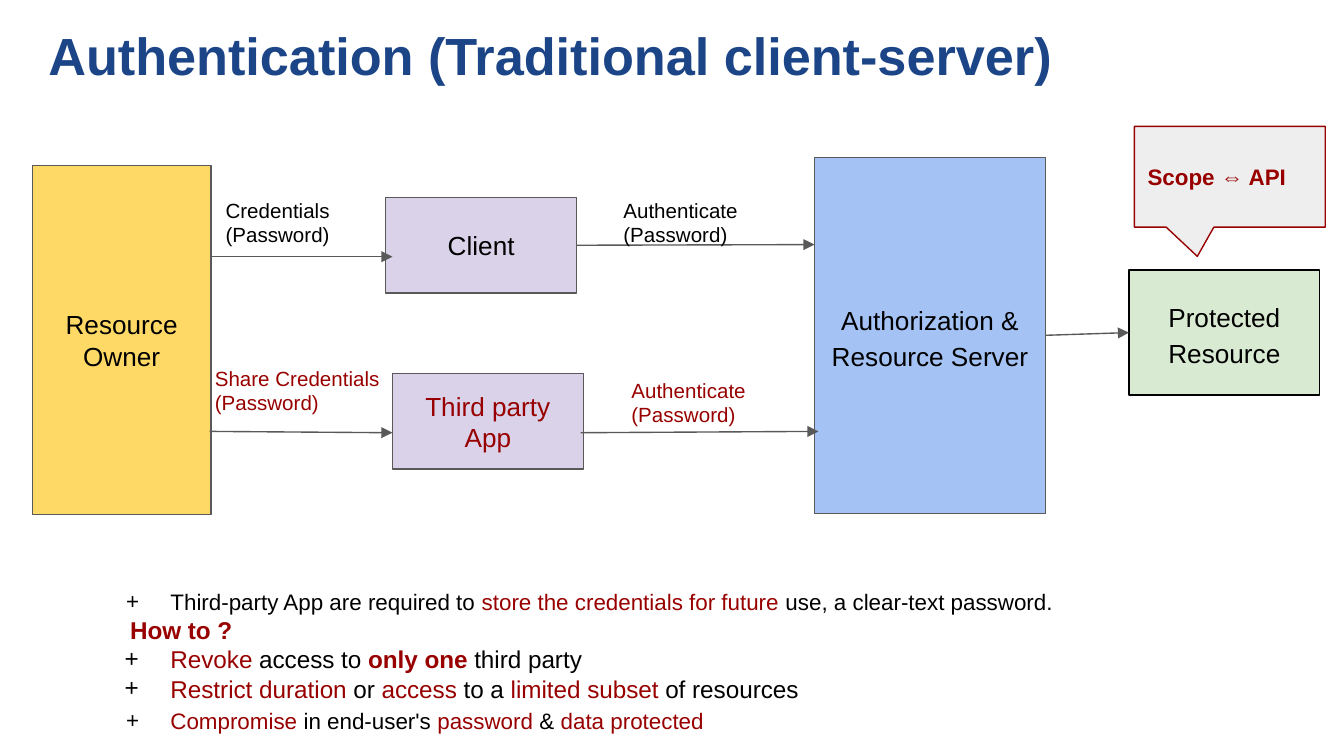
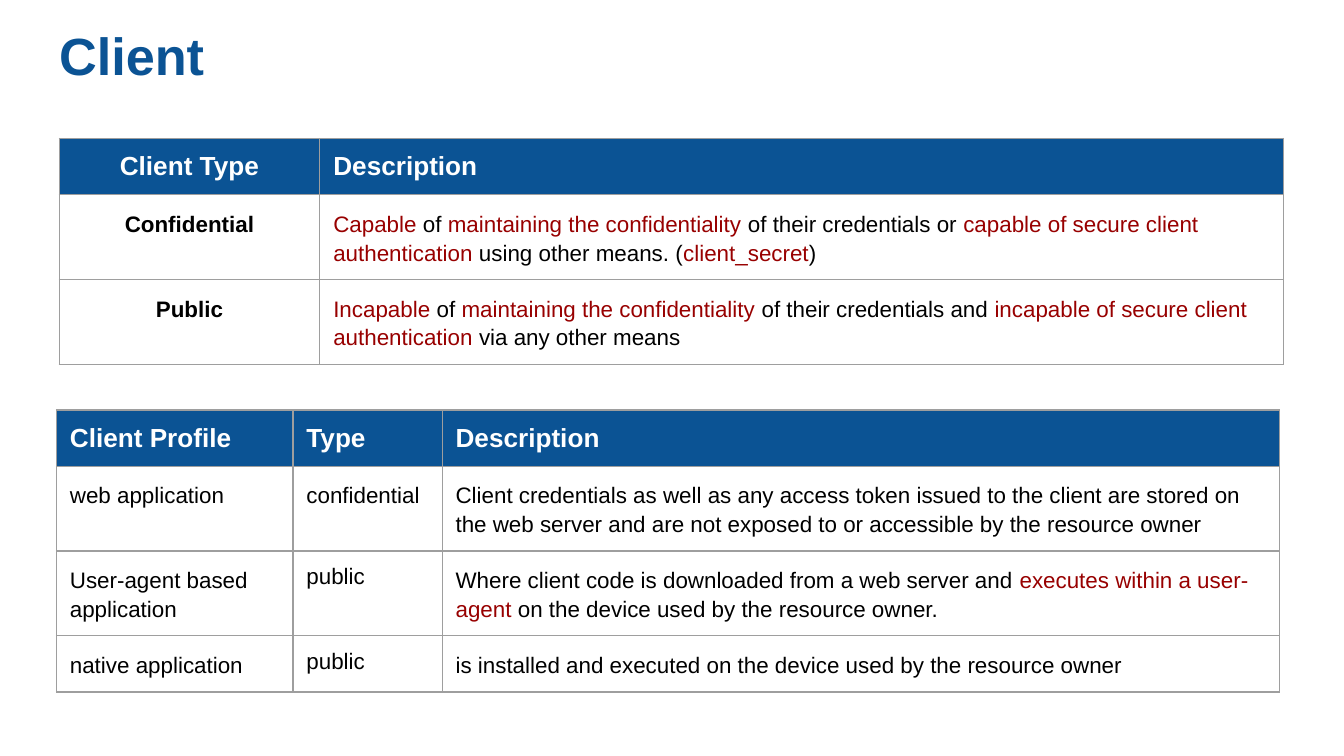
import dataclasses
import typing

import lxml.etree
import pptx
import pptx.dml.color
import pptx.enum.shapes
import pptx.enum.text
import pptx.oxml
import pptx.oxml.ns
import pptx.util

Inches = pptx.util.Inches
Align = pptx.enum.text.PP_ALIGN
Anchor = pptx.enum.text.MSO_ANCHOR
Preset = pptx.enum.shapes.MSO_SHAPE

FONT = "Arial"
BLACK = "000000"
WHITE = "FFFFFF"
ACCENT = "980000"
LINE = "595959"
LILAC = "D9D2E9"
BLUE = "0B5394"
NAVY = "1C4587"
TABLE_LINE = "9E9E9E"
LINE_WIDTH = pptx.util.Pt(0.75)
INSET = Inches(0.1)
LOOSE = 1.15


@dataclasses.dataclass
class Box:
    text: str
    left: float
    top: float
    width: float
    height: float
    fill: str
    line: str = LINE
    color: str = BLACK
    size: float = 14
    bold: bool = False
    spacing: float = 1.0
    align: Align = Align.CENTER
    preset: Preset = Preset.RECTANGLE
    adjustments: tuple[float, ...] = ()


@dataclasses.dataclass
class Arrow:
    start: tuple[float, float]
    end: tuple[float, float]
    source: str = ""
    target: str = ""


@dataclasses.dataclass
class Label:
    text: str
    left: float
    top: float
    width: float
    color: str = BLACK


@dataclasses.dataclass
class Point:
    text: str
    size: float
    spacing: float = 1.0
    bullet: bool = True
    indent: float = 0.5
    hanging: float = 0.33


@dataclasses.dataclass
class Cell:
    text: str
    bold: bool = False
    align: Align = Align.LEFT
    spacing: float = LOOSE


BOXES = {
    "server": Box("Authorization &\nResource Server", 6.06, 1.17, 1.72, 2.65, "A4C2F4", spacing=LOOSE),
    "resource": Box("Protected Resource", 8.4, 2.01, 1.42, 0.93, "D9EAD3", line=BLACK, spacing=LOOSE),
    "owner": Box("Resource Owner", 0.24, 1.23, 1.33, 2.6, "FFD966"),
    "client": Box("Client", 2.87, 1.47, 1.42, 0.71, LILAC),
    "third party": Box("Third party App", 2.92, 2.78, 1.42, 0.71, LILAC, color=ACCENT),
    "scope": Box(
        "Scope ⇔ API", 8.44, 0.94, 1.42, 0.75, "EEEEEE", line=ACCENT, color=ACCENT, size=12,
        bold=True, align=Align.LEFT, preset=Preset.ROUNDED_RECTANGULAR_CALLOUT,
        adjustments=(-0.17, 0.79, 0),
    ),
}
ARROWS = [
    Arrow((4.29, 1.83), (6.06, 1.82), source="client"),
    Arrow((7.78, 2.5), (8.4, 2.47), source="server", target="resource"),
    Arrow((1.56, 1.91), (2.92, 1.91)),
    Arrow((1.56, 3.21), (2.92, 3.22)),
    Arrow((4.32, 3.22), (6.09, 3.21)),
]
LABELS = [
    Label("Authenticate\v(Password)", 4.54, 1.37, 1.33),
    Label("Credentials\n(Password)", 1.58, 1.37, 1.61),
    Label("Authenticate\v(Password)", 4.6, 2.71, 1.33, ACCENT),
    Label("Share Credentials\n(Password)", 1.5, 2.62, 1.61, ACCENT),
]
POINTS = [
    Point("Third-party App are required to |store the credentials for future| use, a clear-text password.",
          12, LOOSE),
    Point("|^How to ?", 13, bullet=False, indent=0.2, hanging=0),
    Point("|Revoke| access to |^only one| third party", 13, hanging=0.34),
    Point("|Restrict duration| or |access| to a |limited subset| of resources", 13, hanging=0.34),
    Point("|Compromise| in end-user's |password| & |data protected", 12, LOOSE),
]
TYPE_HEADER = [Cell("Client Type", align=Align.CENTER), Cell("Description")]
TYPE_ROWS = [
    [Cell("Confidential", True, Align.CENTER),
     Cell("|Capable| of |maintaining the confidentiality |of their credentials or "
          "|capable of secure client authentication| using other means. (|client_secret|)")],
    [Cell("Public", True, Align.CENTER),
     Cell("|Incapable| of |maintaining the confidentiality| of their credentials and "
          "|incapable of secure client authentication |via any other means")],
]
PROFILE_HEADER = [Cell("Client Profile"), Cell("Type"), Cell("Description")]
PROFILE_ROWS = [
    [Cell("web application"), Cell("confidential"),
     Cell("Client credentials as well as any access token issued to the client are stored on "
          "the web server and are not exposed to or accessible by the resource owner")],
    [Cell("User-agent based application"), Cell("public", spacing=1.0),
     Cell("Where client code is downloaded from a web server and "
          "|executes within a user-agent |on the device used by the resource owner.")],
    [Cell("native application"), Cell("public", spacing=1.0),
     Cell("is installed and executed on the device used by the resource owner")],
]


def rgb(value: str) -> pptx.dml.color.RGBColor:
    return pptx.dml.color.RGBColor.from_string(value)


def add_element(parent: typing.Any, tag: str, **attributes: str) -> typing.Any:
    element = lxml.etree.SubElement(parent, pptx.oxml.ns.qn(tag))
    for name, value in attributes.items():
        element.set(name, value)
    return element


def write_paragraph(paragraph: typing.Any, text: str, *, size: float, color: str = BLACK,
                    bold: bool = False, align: Align = Align.LEFT, spacing: float = 1.0) -> None:
    paragraph.alignment = align
    paragraph.line_spacing = spacing
    for index, part in enumerate(text.split("|")):
        if not part:
            continue
        for line_index, line in enumerate(part.removeprefix("^").split("\v")):
            if line_index:
                paragraph.add_line_break()
            run = paragraph.add_run()
            run.text = line
            run.font.name = FONT
            run.font.size = pptx.util.Pt(size)
            run.font.bold = bold or part.startswith("^")
            run.font.color.rgb = rgb(ACCENT if index % 2 else color)


def prepare_frame(frame: typing.Any, anchor: Anchor = Anchor.TOP) -> None:
    frame.word_wrap = True
    frame.auto_size = pptx.enum.text.MSO_AUTO_SIZE.NONE
    frame.vertical_anchor = anchor
    frame.margin_left = frame.margin_right = frame.margin_top = frame.margin_bottom = INSET


def write_text(frame: typing.Any, text: str, *, anchor: Anchor = Anchor.TOP, **style: typing.Any) -> None:
    prepare_frame(frame, anchor)
    for index, line in enumerate(text.split("\n")):
        paragraph = frame.add_paragraph() if index else frame.paragraphs[0]
        write_paragraph(paragraph, line, **style)


def add_titled_slide(presentation: typing.Any, title: str, left: float, color: str) -> typing.Any:
    slide = presentation.slides.add_slide(presentation.slide_layouts[5])
    shape = slide.shapes.title
    shape.left, shape.top = Inches(left), Inches(0.07)
    shape.width, shape.height = Inches(9.32), Inches(0.63)
    write_text(shape.text_frame, title, size=28, color=color, bold=True)
    return slide


def add_box(slide: typing.Any, box: Box) -> typing.Any:
    shape = slide.shapes.add_shape(
        box.preset, Inches(box.left), Inches(box.top), Inches(box.width), Inches(box.height))
    for index, value in enumerate(box.adjustments):
        shape.adjustments[index] = value
    shape.shadow.inherit = False
    shape.fill.solid()
    shape.fill.fore_color.rgb = rgb(box.fill)
    shape.line.color.rgb = rgb(box.line)
    shape.line.width = LINE_WIDTH
    write_text(shape.text_frame, box.text, anchor=Anchor.MIDDLE, size=box.size, color=box.color,
               bold=box.bold, align=box.align, spacing=box.spacing)
    return shape


def add_arrow(slide: typing.Any, arrow: Arrow, shapes: dict[str, typing.Any]) -> None:
    connector = slide.shapes.add_connector(
        pptx.enum.shapes.MSO_CONNECTOR.STRAIGHT,
        *(Inches(value) for value in arrow.start + arrow.end))
    if arrow.source:
        connector.begin_connect(shapes[arrow.source], 3)
    if arrow.target:
        connector.end_connect(shapes[arrow.target], 1)
    connector.line.color.rgb = rgb(LINE)
    connector.line.width = LINE_WIDTH
    properties = connector._element.spPr
    add_element(properties.find(pptx.oxml.ns.qn("a:ln")), "a:tailEnd", type="triangle")
    add_element(properties, "a:effectLst")


def add_label(slide: typing.Any, label: Label) -> None:
    shape = slide.shapes.add_textbox(
        Inches(label.left), Inches(label.top), Inches(label.width), Inches(0.38))
    write_text(shape.text_frame, label.text, size=11, color=label.color)


def add_points(slide: typing.Any, points: list[Point]) -> None:
    frame = slide.shapes.add_textbox(Inches(0.67), Inches(4.25), Inches(9.44), Inches(0.3)).text_frame
    prepare_frame(frame)
    for index, point in enumerate(points):
        paragraph = frame.add_paragraph() if index else frame.paragraphs[0]
        write_paragraph(paragraph, point.text, size=point.size, spacing=point.spacing)
        properties = paragraph._p.get_or_add_pPr()
        properties.set("marL", str(Inches(point.indent)))
        properties.set("indent", str(-Inches(point.hanging)))
        if point.bullet:
            add_element(add_element(properties, "a:buClr"), "a:srgbClr", val=BLACK)
            add_element(properties, "a:buFont", typeface=FONT)
            add_element(properties, "a:buChar", char="+")


def format_cell(cell: typing.Any, fill: str) -> None:
    properties = cell._tc.get_or_add_tcPr()
    for side in ("L", "R", "T", "B"):
        line = add_element(properties, f"a:ln{side}", w=str(LINE_WIDTH))
        add_element(add_element(line, "a:solidFill"), "a:srgbClr", val=TABLE_LINE)
    cell.fill.solid()
    cell.fill.fore_color.rgb = rgb(fill)
    cell.margin_left = cell.margin_right = cell.margin_top = cell.margin_bottom = INSET


def add_grid(slide: typing.Any, left: float, top: float, widths: list[float], heights: list[float],
             header: list[Cell], body: list[list[Cell]]) -> None:
    table = slide.shapes.add_table(
        len(heights), len(widths), Inches(left), Inches(top),
        Inches(sum(widths)), Inches(sum(heights))).table
    table.first_row = table.horz_banding = False
    for column, width in zip(table.columns, widths):
        column.width = Inches(width)
    for row, height in zip(table.rows, heights):
        row.height = Inches(height)
    for row_index, contents in enumerate([header, *body]):
        is_header = row_index == 0
        for column_index, content in enumerate(contents):
            cell = table.cell(row_index, column_index)
            format_cell(cell, BLUE if is_header else WHITE)
            write_paragraph(
                cell.text_frame.paragraphs[0], content.text, align=content.align,
                size=14 if is_header else 12, color=WHITE if is_header else BLACK,
                bold=is_header or content.bold, spacing=1.0 if is_header else content.spacing)


def build_authentication(presentation: typing.Any) -> None:
    slide = add_titled_slide(presentation, "Authentication (Traditional client-server)", 0.26, NAVY)
    shapes = {name: add_box(slide, box) for name, box in BOXES.items()}
    for arrow in ARROWS:
        add_arrow(slide, arrow, shapes)
    for label in LABELS:
        add_label(slide, label)
    add_points(slide, POINTS)


def build_client(presentation: typing.Any) -> None:
    slide = add_titled_slide(presentation, "Client", 0.34, BLUE)
    add_grid(slide, 0.42, 3.05, [1.76, 1.11, 6.23], [0.42, 0.63, 0.63, 0.42], PROFILE_HEADER, PROFILE_ROWS)
    add_grid(slide, 0.44, 1.03, [1.94, 7.17], [0.42, 0.63, 0.63], TYPE_HEADER, TYPE_ROWS)


def main() -> None:
    presentation = pptx.Presentation()
    presentation.slide_width = Inches(10)
    presentation.slide_height = Inches(10 * 9 / 16)
    build_authentication(presentation)
    build_client(presentation)
    presentation.save("out.pptx")


if __name__ == "__main__":
    main()
